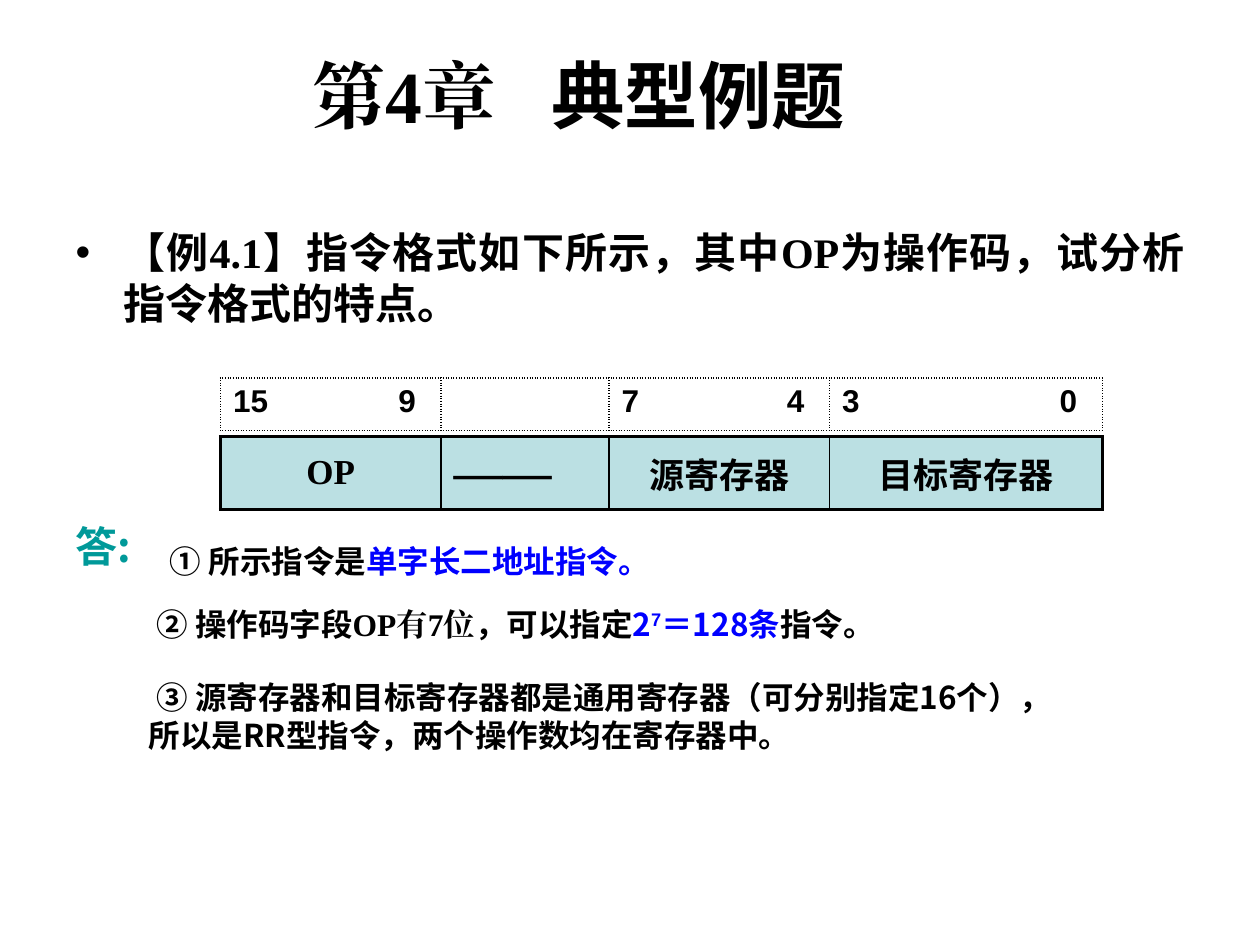
from dataclasses import dataclass
from typing import Optional

from lxml import etree
from pptx import Presentation
from pptx.dml.color import RGBColor
from pptx.enum.text import MSO_ANCHOR, MSO_AUTO_SIZE, PP_ALIGN
from pptx.oxml.ns import qn
from pptx.util import Inches, Pt

LEFT, CENTER, JUSTIFY = PP_ALIGN.LEFT, PP_ALIGN.CENTER, PP_ALIGN.JUSTIFY
TOP, MIDDLE = MSO_ANCHOR.TOP, MSO_ANCHOR.MIDDLE
CJK, SERIF, SANS = "Noto Sans CJK SC", "Times New Roman", "Arial"


@dataclass(frozen=True)
class Theme:
    ink: str = "000000"
    accent: str = "0000FF"
    answer: str = "009999"
    cell: str = "BBE0E3"
    title: int = 42
    dash: int = 28
    body: int = 24
    field: int = 20
    note: int = 18


T = Theme()


@dataclass(frozen=True)
class Run:
    text: str
    font: str = CJK
    color: str = T.ink
    raised: bool = False
    spacing: int = 0  # extra character spacing in points


@dataclass(frozen=True)
class Field:
    columns: int
    label: Run
    size: int = T.field
    align: PP_ALIGN = CENTER
    high: str = ""
    low: str = ""


@dataclass(frozen=True)
class Note:
    col: int
    row: int
    width: int
    height: float
    lines: tuple[tuple[Run, ...], ...]
    size: int = T.note
    indent: float = 0


def grid(n: float) -> int:
    """Length of n grid units, twelve to the inch."""
    return Inches(n / 12)


def write(p, *runs: Run, size: int, align: Optional[PP_ALIGN] = None) -> None:
    if align is not None:
        p.alignment = align
    for run in runs:
        r = p.add_run()
        r.text = run.text
        f = r.font
        f.name, f.size, f.bold = run.font, Pt(size), True
        f.color.rgb = RGBColor.from_string(run.color)
        rPr = r._r.get_or_add_rPr()
        etree.SubElement(rPr, qn("a:ea")).set("typeface", run.font)
        if run.raised:
            rPr.set("baseline", "30000")
        if run.spacing:
            rPr.set("spc", str(run.spacing * 100))


def set_indent(p, margin: float, first: float) -> None:
    pPr = p._p.get_or_add_pPr()
    pPr.set("marL", str(Inches(margin)))
    pPr.set("indent", str(Inches(first)))


def set_right_tab(p, position: int) -> None:
    tabs = etree.SubElement(p._p.get_or_add_pPr(), qn("a:tabLst"))
    etree.SubElement(tabs, qn("a:tab"), pos=str(position), algn="r")


def set_borders(cell, widths: dict[str, float], dash: str = "solid") -> None:
    tcPr = cell._tc.get_or_add_tcPr()
    for i, side in enumerate("LRTB"):
        ln = etree.Element(qn(f"a:ln{side}"), w=str(Pt(widths[side])))
        fill = etree.SubElement(ln, qn("a:solidFill"))
        etree.SubElement(fill, qn("a:srgbClr"), val=T.ink)
        etree.SubElement(ln, qn("a:prstDash"), val=dash)
        tcPr.insert(i, ln)


def add_row_table(s, fields: list[Field], row: float, height: float):
    width = sum(f.columns for f in fields)
    table = s.shapes.add_table(1, len(fields), grid(21), grid(row),
                               grid(width), grid(height)).table
    table.first_row = table.horz_banding = False
    for column, field in zip(table.columns, fields):
        column.width = grid(field.columns)
    return table


def add_bit_numbers(s, fields: list[Field]) -> None:
    table = add_row_table(s, fields, row=36, height=5)
    for cell, field in zip(table.iter_cells(), fields):
        cell.fill.background()
        set_borders(cell, dict.fromkeys("LRTB", 1), "sysDot")
        if field.high:
            p = cell.text_frame.paragraphs[0]
            set_right_tab(p, grid(field.columns - 3.6))
            write(p, Run(f"{field.high}\t{field.low}", SANS), size=T.note)


def add_fields(s, fields: list[Field]) -> None:
    table = add_row_table(s, fields, row=41.6, height=6.9)
    last = len(fields) - 1
    for i, (cell, field) in enumerate(zip(table.iter_cells(), fields)):
        cell.fill.solid()
        cell.fill.fore_color.rgb = RGBColor.from_string(T.cell)
        cell.vertical_anchor = MIDDLE
        set_borders(cell, {"L": 1 if i else 2.25, "T": 2.25, "B": 2.25,
                           "R": 2.25 if i == last else 1})
        write(cell.text_frame.paragraphs[0], field.label,
              size=field.size, align=field.align)


def add_note(s, note: Note) -> None:
    sp = s.shapes.add_textbox(grid(note.col), grid(note.row),
                              grid(note.width), grid(note.height))
    tf = sp.text_frame
    tf.word_wrap = True
    p = tf.paragraphs[0]
    set_indent(p, 0, note.indent)
    for i, line in enumerate(note.lines):
        if i:
            p.add_line_break()
        write(p, *line, size=note.size)


def place(sp, left: float, top: float, width: float, height: float, anchor):
    sp.left, sp.top = Inches(left), Inches(top)
    sp.width, sp.height = Inches(width), Inches(height)
    tf = sp.text_frame
    tf.auto_size, tf.vertical_anchor = MSO_AUTO_SIZE.NONE, anchor
    return tf.paragraphs[0]


FIELDS = [
    Field(21, Run("OP", SERIF), high="15", low="9"),
    Field(16, Run("——", SERIF), size=T.dash, align=LEFT),
    Field(21, Run("源寄存器"), high="7", low="4"),
    Field(26, Run("目标寄存器"), high="3", low="0"),
]

NOTES = [
    Note(6, 49, 120, 6.8, ((Run("答:", color=T.answer),),), size=T.body),
    Note(15, 51, 88, 4.8, ((Run("① 所示指令是"),
                            Run("单字长二地址指令。", color=T.accent)),)),
    Note(13, 57, 94, 4.8, ((Run("② 操作码字段"), Run("OP有7位", SERIF),
                            Run("，可以指定"), Run("2", color=T.accent),
                            Run("7", SANS, T.accent, raised=True),
                            Run("＝128条", color=T.accent),
                            Run("指令。")),), indent=0.06),
    Note(13, 64, 92, 8.4,
         ((Run("③ 源寄存器和目标寄存器都是通用寄存器（可分别指定16个），"),),
          (Run("所以是RR型指令，两个操作数均在寄存器中。"),)), indent=0.06),
]


def main() -> None:
    prs = Presentation()
    prs.slide_width, prs.slide_height = Inches(10), Inches(7.5)
    s = prs.slides.add_slide(prs.slide_layouts[1])
    title, body = s.placeholders

    # Chapter title
    write(place(title, 0.21, 0.25, 8.77, 1, MIDDLE), Run("第4章", SERIF),
          Run(" ", SERIF, spacing=21), Run("典型例题"),
          size=T.title, align=CENTER)

    # Question
    p = place(body, 0.5, 1.75, 9, 4.95, TOP)
    set_indent(p, 0.38, -0.38)
    p.space_before = Pt(0)
    write(p, Run("【例"), Run("4.1", SERIF),
          Run("】指令格式如下所示，其中"), Run("OP", SERIF),
          Run("为操作码，试分析指令格式的特点。"), size=T.body, align=JUSTIFY)

    # Instruction format
    add_fields(s, FIELDS)
    add_bit_numbers(s, FIELDS)

    # Answer
    for note in NOTES:
        add_note(s, note)

    prs.save("out.pptx")


if __name__ == "__main__":
    main()
